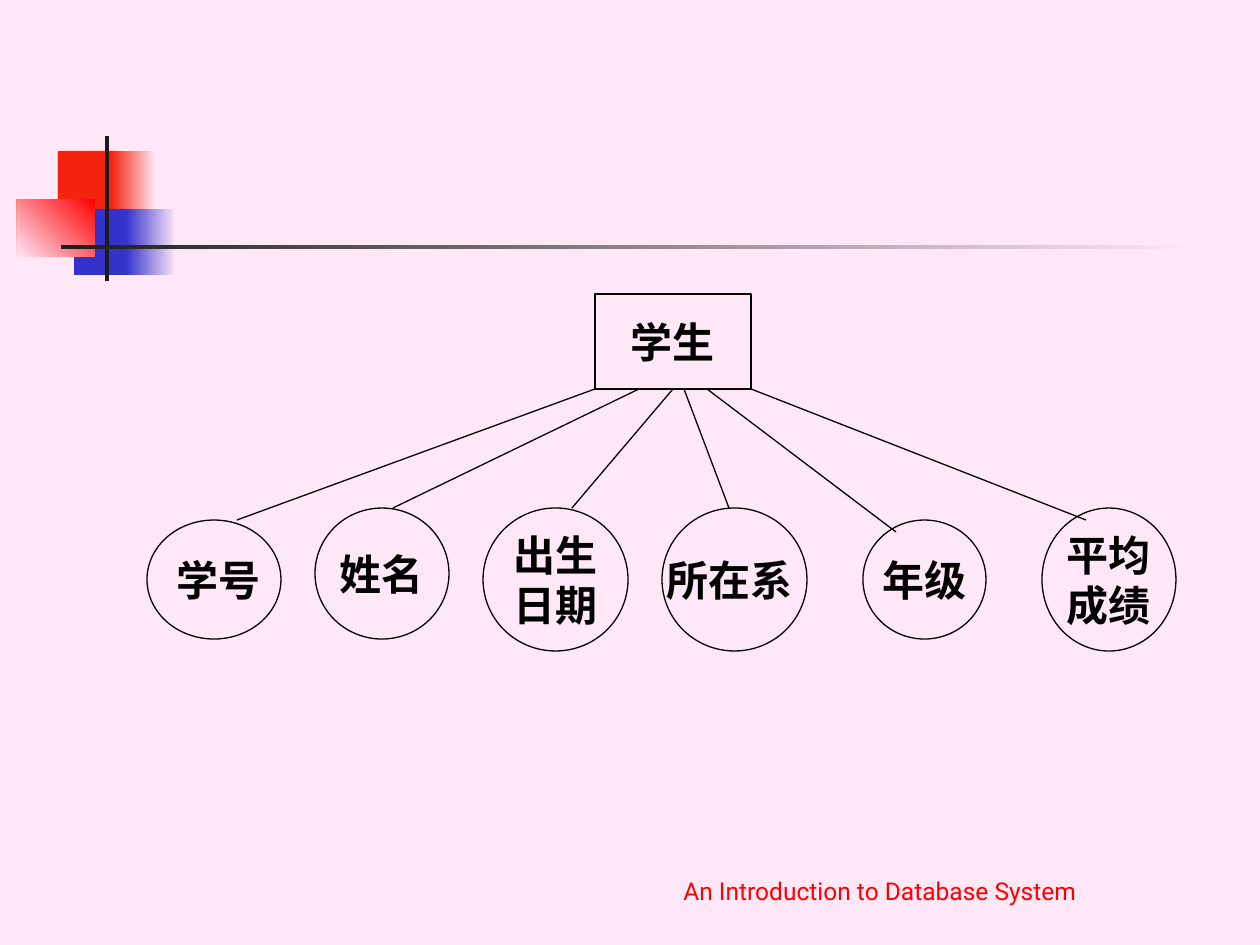
import dataclasses

import pptx
import pptx.dml.color
import pptx.enum.shapes
import pptx.enum.text
import pptx.oxml
import pptx.util

RGB = pptx.dml.color.RGBColor.from_string
SHAPE = pptx.enum.shapes.MSO_SHAPE
ANCHOR = pptx.enum.text.MSO_ANCHOR
EMU_PER_PX = 914400 / 126


@dataclasses.dataclass(frozen=True)
class Theme:
    """Colours, fonts and type sizes of the slide."""
    background: str = "FEE8F7"
    orange_red: str = "F3230D"
    red: str = "FF0000"
    blue: str = "3333CC"
    dark: str = "1C1C1C"
    ink: str = "000000"
    node_font: str = "Times New Roman"
    footer_font: str = "Roboto"
    node_size: int = 24
    footer_size: int = 14
    line_width: float = 0.75


THEME = Theme()


def px(length):
    """Turn px into EMU."""
    return pptx.util.Emu(round(length * EMU_PER_PX))


def add_block(slide, box, start, end=None, angle=180):
    """Add a borderless rectangle with a plain or gradient fill."""
    block = slide.shapes.add_shape(SHAPE.RECTANGLE, *map(px, box))
    block.shadow.inherit = False
    block.line.fill.background()
    if end is None:
        block.fill.solid()
        block.fill.fore_color.rgb = RGB(start)
        return
    block.fill.gradient()
    block.fill.gradient_angle = angle
    for stop, colour in zip(block.fill.gradient_stops, (start, end)):
        stop.color.rgb = RGB(colour)


def write_lines(frame, lines, font, size, colour, bold, anchor):
    """Write centred paragraphs into a text frame."""
    frame.vertical_anchor = anchor
    for index, line in enumerate(lines):
        paragraph = frame.add_paragraph() if index else frame.paragraphs[0]
        paragraph.alignment = pptx.enum.text.PP_ALIGN.CENTER
        run = paragraph.add_run()
        run.text = line
        run.font.name = font
        run.font.size = pptx.util.Pt(size)
        run.font.bold = bold
        run.font.color.rgb = RGB(colour)


def add_node(slide, outline, box, lines):
    """Add an unfilled, labelled node of the diagram."""
    node = slide.shapes.add_shape(outline, *map(px, box))
    node.shadow.inherit = False
    node.fill.background()
    node.line.color.rgb = RGB(THEME.ink)
    node.line.width = pptx.util.Pt(THEME.line_width)
    node.text_frame.word_wrap = False
    write_lines(node.text_frame, lines, THEME.node_font, THEME.node_size,
                THEME.ink, True, ANCHOR.MIDDLE)


def add_link(slide, start, end):
    """Add a thin straight line between two points."""
    link = slide.shapes.add_connector(
        pptx.enum.shapes.MSO_CONNECTOR.STRAIGHT, *map(px, start + end))
    link.line.color.rgb = RGB(THEME.ink)
    link.line.width = pptx.util.Pt(THEME.line_width)
    properties = link._element.spPr
    properties.append(properties.makeelement(pptx.oxml.ns.qn("a:effectLst"), {}))


def add_ornament(slide, left, top):
    """Place the coloured squares and crossing bars."""
    fade = THEME.background
    for (x, y, width, height), *fill in (
        ((41, 15, 60, 66), THEME.orange_red),
        ((94, 15, 45, 66), fade, THEME.orange_red),
        ((57, 73, 58, 66), THEME.blue),
        ((109, 73, 50, 66), fade, THEME.blue),
        ((0, 63, 78, 58), THEME.red, fade, 225),
        ((88, 0, 4, 145), THEME.dark),
        ((44, 109, 1134, 4), fade, THEME.dark),
    ):
        add_block(slide, (left + x, top + y, width, height), *fill)


def add_entity_diagram(slide, left, top):
    """Place the student entity and its linked attributes."""
    entity_left, entity_width, entity_height = 448, 156, 95
    add_node(slide, SHAPE.RECTANGLE,
             (left + entity_left, top, entity_width, entity_height), ["学生"])
    attributes = (
        ([" 学号"], (0, 226, 134, 119), 448, (90, 226)),
        (["姓名"], (168, 214, 134, 131), 492, (246, 214)),
        (["出生", "日期"], (336, 214, 145, 143), 526, (425, 214)),
        (["所在系 "], (515, 214, 145, 143), 537, (582, 214)),
        (["年级"], (716, 226, 123, 119), 560, (749, 238)),
        (["平均", "成绩"], (895, 214, 134, 143), 604, (939, 226)),
    )
    for lines, (x, y, width, height), link_x, (end_x, end_y) in attributes:
        add_node(slide, SHAPE.OVAL, (left + x, top + y, width, height), lines)
        add_link(slide, (left + link_x, top + entity_height),
                 (left + end_x, top + end_y))


def add_footer(slide, box):
    """Place the course name at the foot of the slide."""
    footer = slide.shapes.add_textbox(*map(px, box))
    footer.text_frame.word_wrap = True
    write_lines(footer.text_frame, ["An Introduction to Database System"],
                THEME.footer_font, THEME.footer_size, THEME.red, False,
                ANCHOR.BOTTOM)


def main():
    """Build and save the slide."""
    presentation = pptx.Presentation()
    presentation.slide_width, presentation.slide_height = px(1260), px(945)
    slide = presentation.slides.add_slide(presentation.slide_layouts[6])
    slide.background.fill.solid()
    slide.background.fill.fore_color.rgb = RGB(THEME.background)
    add_ornament(slide, 17, 136)
    add_entity_diagram(slide, 147, 294)
    add_footer(slide, (551, 849, 658, 63))
    presentation.save("out.pptx")


if __name__ == "__main__":
    main()
